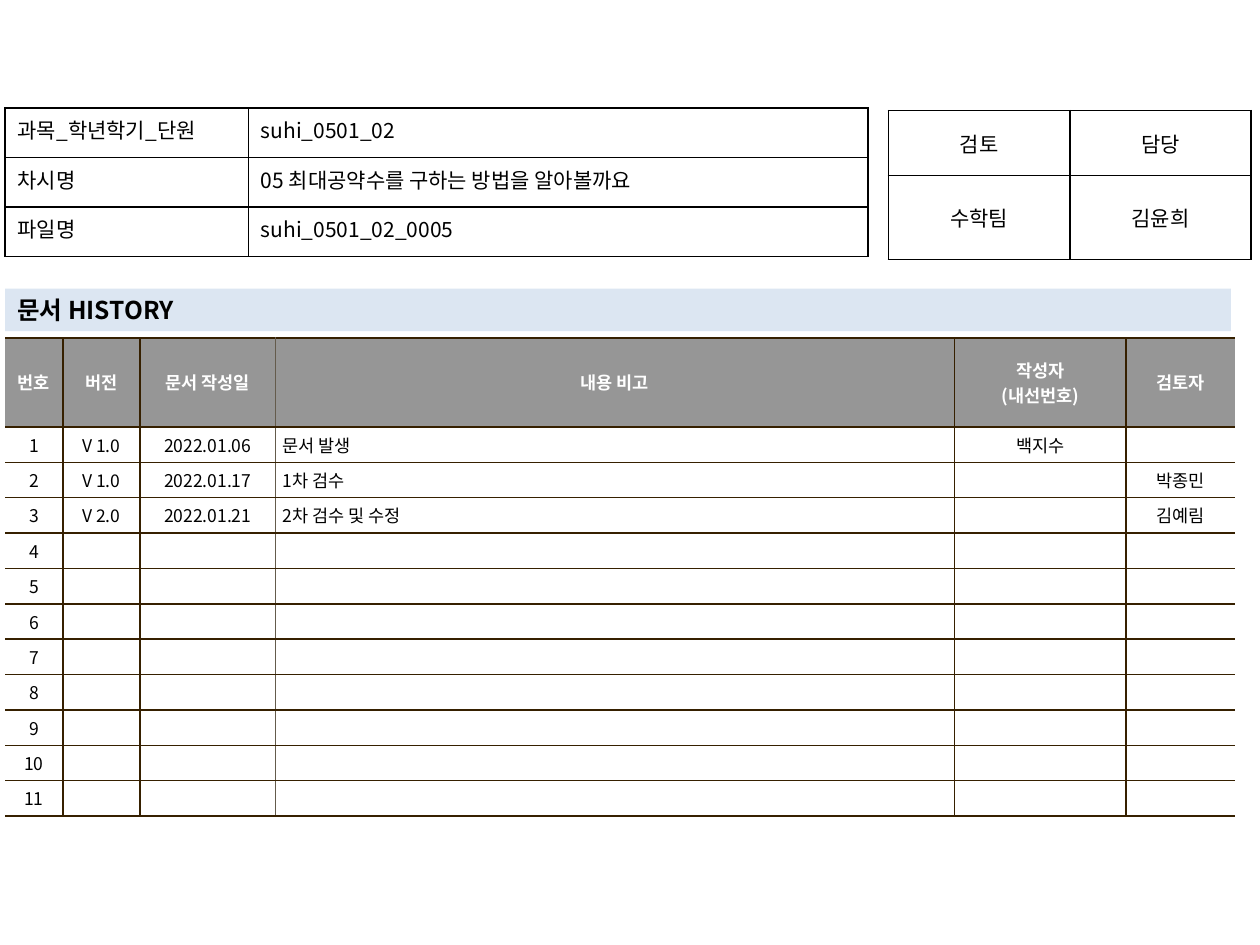
from dataclasses import dataclass
from typing import Optional

from lxml.etree import SubElement
from pptx import Presentation
from pptx.dml.color import RGBColor
from pptx.enum.shapes import MSO_SHAPE
from pptx.enum.text import MSO_ANCHOR, PP_ALIGN
from pptx.oxml.ns import qn
from pptx.util import Pt

FONT = "Noto Sans CJK KR"
BLACK, WHITE, GREY, PALE_BLUE = "000000", "FFFFFF", "969696", "DCE6F2"
BROWN, TAUPE = "362000", "645B4C"


@dataclass(frozen=True)
class CellFormat:
    size: float
    align: PP_ALIGN = PP_ALIGN.CENTER
    anchor: MSO_ANCHOR = MSO_ANCHOR.MIDDLE
    color: str = BLACK
    bold: bool = False
    fill: Optional[str] = None
    margin_x: float = 7.2
    margin_y: float = 3.6


@dataclass(frozen=True)
class Grid:
    left: float
    top: float
    widths: list
    heights: list
    texts: list
    header: list
    body: list
    rules: list


def hex_color(value: str) -> RGBColor:
    return RGBColor.from_string(value)


def set_attributes(target, values: dict) -> None:
    for name, value in values.items():
        setattr(target, name, value)


def write_text(frame, text: str, style: CellFormat) -> None:
    frame.text = text
    for paragraph in frame.paragraphs:
        paragraph.alignment = style.align
        for run in paragraph.runs:
            set_attributes(run.font, {"name": FONT, "size": Pt(style.size), "bold": style.bold})
            run.font.color.rgb = hex_color(style.color)
            SubElement(run.font._element, qn("a:ea"), typeface=FONT)
        if not paragraph.runs:
            SubElement(paragraph._p, qn("a:endParaRPr"), sz=str(int(style.size * 100)))


def draw_border(cell, side: str, color: Optional[str]) -> None:
    line = SubElement(cell._tc.get_or_add_tcPr(), qn(f"a:ln{side}"), w=str(Pt(1)))
    if color is None:
        SubElement(line, qn("a:noFill"))
    else:
        fill = SubElement(line, qn("a:solidFill"))
        SubElement(fill, qn("a:srgbClr"), val=color)


def format_cell(cell, text: str, style: CellFormat, borders: dict) -> None:
    for side, color in borders.items():
        draw_border(cell, side, color)
    if style.fill:
        cell.fill.solid()
        cell.fill.fore_color.rgb = hex_color(style.fill)
    else:
        cell.fill.background()
    set_attributes(cell, {
        "margin_left": Pt(style.margin_x), "margin_right": Pt(style.margin_x),
        "margin_top": Pt(style.margin_y), "margin_bottom": Pt(style.margin_y),
        "vertical_anchor": style.anchor,
    })
    write_text(cell.text_frame, text, style)


def draw_grid(slide, grid: Grid) -> None:
    table = slide.shapes.add_table(
        len(grid.heights), len(grid.widths), Pt(grid.left), Pt(grid.top),
        Pt(sum(grid.widths)), Pt(sum(grid.heights))).table
    set_attributes(table, {"first_row": False, "horz_banding": False})
    for column, width in zip(table.columns, grid.widths):
        column.width = Pt(width)
    for r, (height, texts) in enumerate(zip(grid.heights, grid.texts)):
        table.rows[r].height = Pt(height)
        styles = grid.body if r else grid.header
        edge = next(rule for rule in grid.rules if rule)
        for c, text in enumerate(texts):
            borders = {"L": grid.rules[c], "R": grid.rules[c + 1], "T": edge, "B": edge}
            format_cell(table.cell(r, c), text, styles[c], borders)


def draw_heading(slide, text: str) -> None:
    band = slide.shapes.add_shape(MSO_SHAPE.RECTANGLE, Pt(2.9), Pt(165), Pt(700.5), Pt(24.2))
    band.shadow.inherit = False
    band.fill.solid()
    band.fill.fore_color.rgb = hex_color(PALE_BLUE)
    band.line.fill.background()
    set_attributes(band.text_frame, {"word_wrap": True, "vertical_anchor": MSO_ANCHOR.TOP})
    write_text(band.text_frame, text, CellFormat(14, PP_ALIGN.LEFT, bold=True))


def history_grid() -> Grid:
    header = CellFormat(10, color=WHITE, bold=True, fill=GREY, margin_x=4.3, margin_y=2.9)
    entry = CellFormat(10, fill=WHITE, margin_x=4.3, margin_y=2.9)
    remark = CellFormat(10, PP_ALIGN.LEFT, fill=WHITE, margin_x=4.3, margin_y=2.9)
    revisions = [
        ["V 1.0", "2022.01.06", "문서 발생", "백지수", ""],
        ["V 1.0", "2022.01.17", "1차 검수", "", "박종민"],
        ["V 2.0", "2022.01.21", "2차 검수 및 수정", "", "김예림"],
    ]
    revisions += [[""] * 5] * 8
    titles = ["번호", "버전", "문서 작성일", "내용 비고", "작성자\n(내선번호)", "검토자"]
    return Grid(
        2.9, 193, [33, 44, 77.5, 388, 98, 62.5], [51] + [18] * len(revisions),
        [titles] + [[str(n), *revision] for n, revision in enumerate(revisions, 1)],
        [header] * 6, [entry] * 3 + [remark] + [entry] * 2,
        [None, BROWN, BROWN, TAUPE, BROWN, BROWN, None])


def approval_grid() -> Grid:
    styles = [CellFormat(12)] * 2
    return Grid(507.6, 63.2, [103.7] * 2, [37.2, 47.9],
                [["검토", "담당"], ["수학팀", "김윤희"]], styles, styles, [BLACK] * 3)


def lesson_grid() -> Grid:
    styles = [CellFormat(12, align, MSO_ANCHOR.TOP)
              for align in (PP_ALIGN.JUSTIFY, PP_ALIGN.LEFT)]
    return Grid(2.9, 61.8, [139, 354.2], [28.3] * 3, [
        ["과목_학년학기_단원", "suhi_0501_02"],
        ["차시명", "05 최대공약수를 구하는 방법을 알아볼까요"],
        ["파일명", "suhi_0501_02_0005"],
    ], styles, styles, [BLACK] * 3)


def main() -> None:
    """Build the lesson document cover with its revision history."""
    deck = Presentation()
    set_attributes(deck, {"slide_width": Pt(720), "slide_height": Pt(540)})
    slide = deck.slides.add_slide(deck.slide_layouts[6])
    draw_grid(slide, history_grid())
    draw_grid(slide, approval_grid())
    draw_heading(slide, "문서 HISTORY")
    draw_grid(slide, lesson_grid())
    deck.save("out.pptx")


if __name__ == "__main__":
    main()
